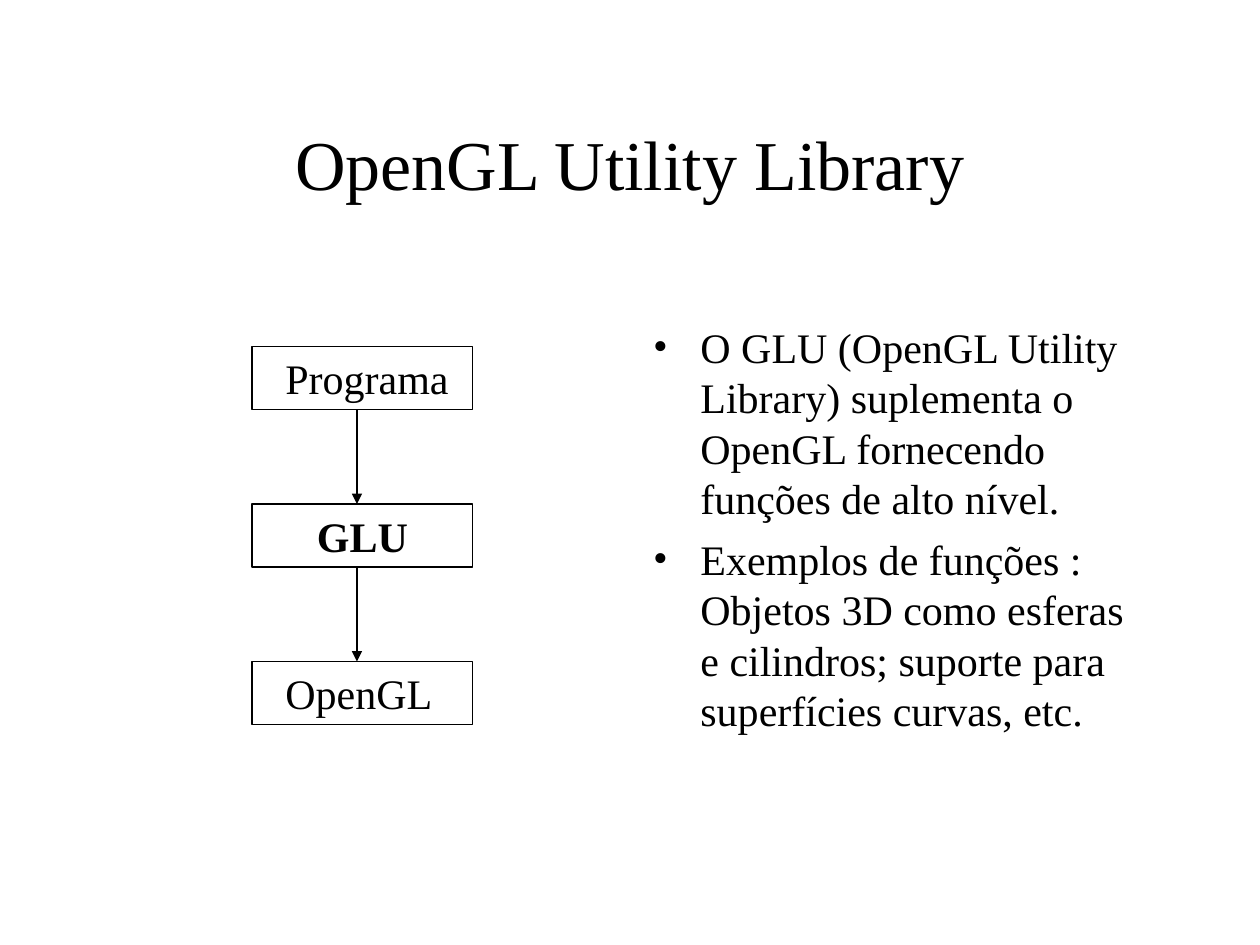
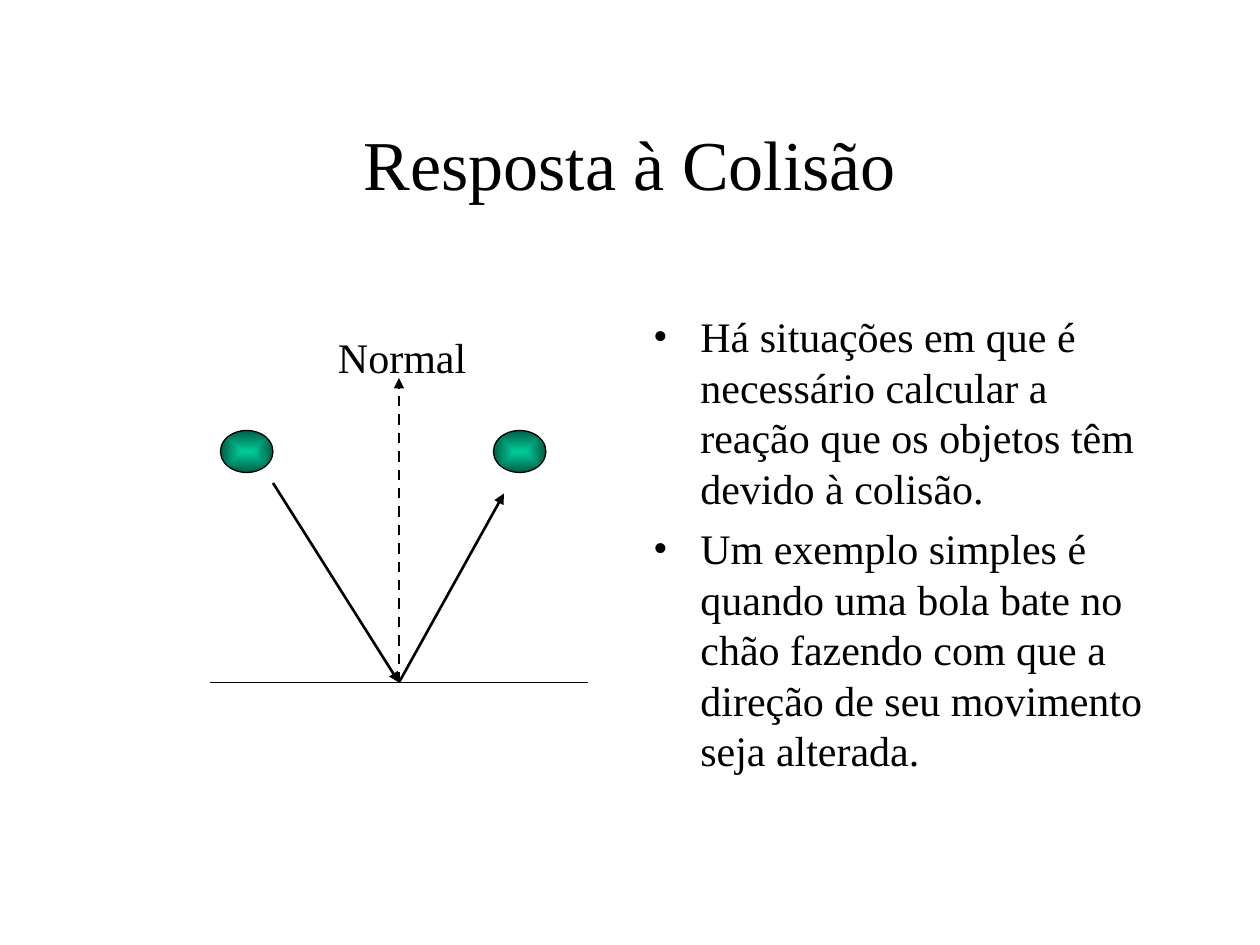
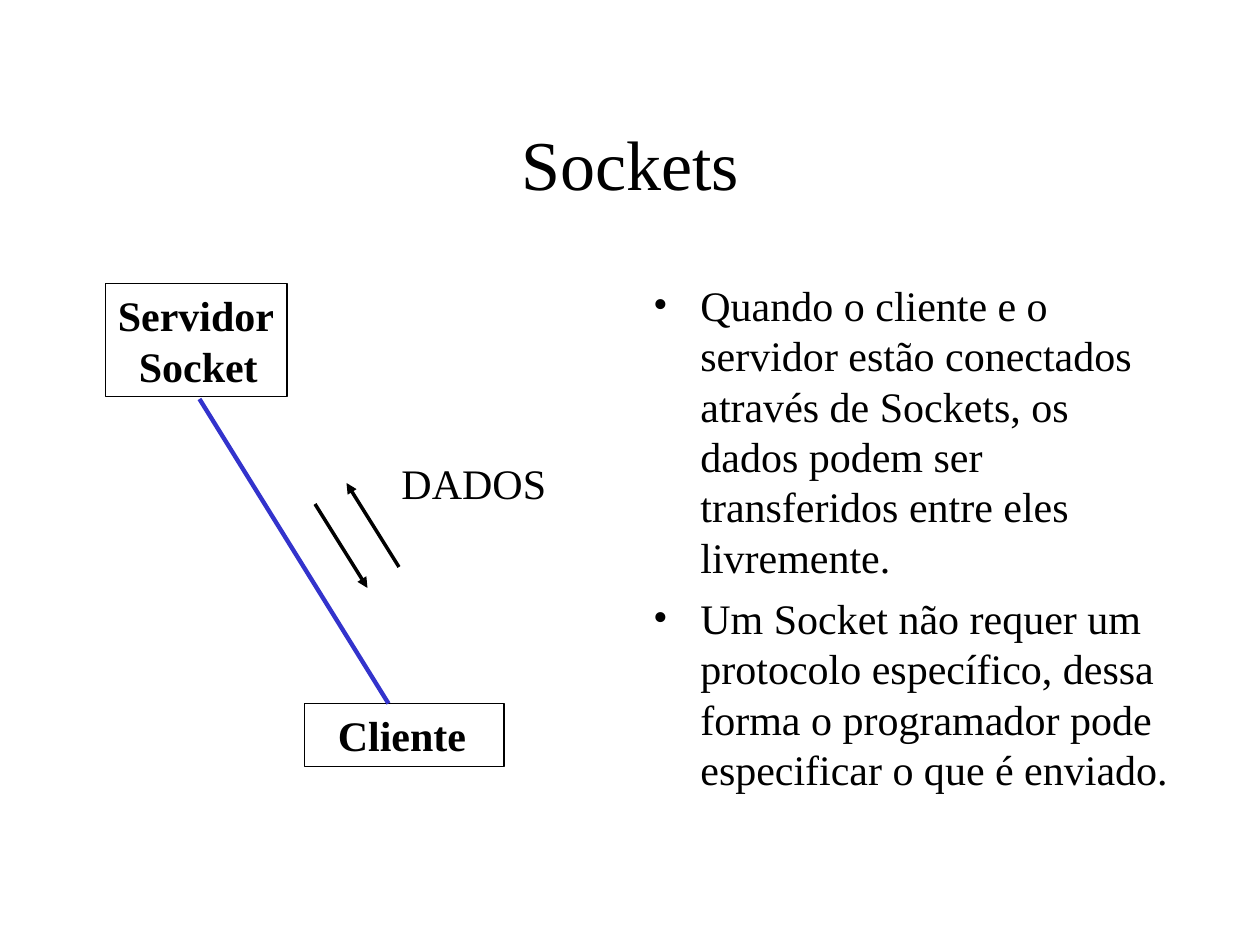
from dataclasses import dataclass

from lxml import etree
from pptx import Presentation
from pptx.dml.color import RGBColor
from pptx.enum.dml import MSO_LINE
from pptx.enum.shapes import MSO_CONNECTOR, MSO_SHAPE
from pptx.enum.text import MSO_ANCHOR, MSO_AUTO_SIZE, PP_ALIGN
from pptx.oxml import parse_xml
from pptx.oxml.ns import nsdecls, qn
from pptx.util import Pt

RECT, OVAL = MSO_SHAPE.RECTANGLE, MSO_SHAPE.OVAL
LINE, DASH = MSO_CONNECTOR.STRAIGHT, MSO_LINE.DASH
TOP, MID = MSO_ANCHOR.TOP, MSO_ANCHOR.MIDDLE
LEFT, MIDDLE = PP_ALIGN.LEFT, PP_ALIGN.CENTER
FIXED = MSO_AUTO_SIZE.NONE


@dataclass(frozen=True)
class Theme:
    font: str = "Times New Roman"
    ink: str = "000000"
    link: str = "3333CC"
    ball: str = "00CC99"
    rim: str = "005E46"
    head: int = 40
    text: int = 24
    thin: float = 0.75
    step: int = 12  # left indent of box text
    hang: int = 27  # bullet indent
    gap: int = 6  # space between list items


THEME = Theme()


# Shared formatting
def apply(item, values):
    for name, value in values.items():
        setattr(item, name, value)


def style(para, size=THEME.text, bold=False):
    apply(para.font, {"name": THEME.font, "size": Pt(size), "bold": bold})
    para.font.color.rgb = RGBColor.from_string(THEME.ink)


def place(shape, box):
    names = ("left", "top", "width", "height")
    apply(shape, dict(zip(names, map(Pt, box))))


def frame(shape, anchor=TOP, wrap=True):
    apply(shape.text_frame, {
        "vertical_anchor": anchor, "word_wrap": wrap, "auto_size": FIXED,
        "margin_left": Pt(7.2), "margin_right": Pt(7.2),
        "margin_top": Pt(3.6), "margin_bottom": Pt(3.6)})
    return shape.text_frame


def stroke(shape, color=THEME.ink, width=THEME.thin):
    shape.line.color.rgb = RGBColor.from_string(color)
    shape.line.width = Pt(width)


def indent(para, left, first=0):
    props = para._p.get_or_add_pPr()
    props.set("marL", str(Pt(left)))
    props.set("indent", str(Pt(first)))
    return props


def fill(body, lines, bold=False):
    """Write (text, left indent) lines into a text frame."""
    for i, (text, left) in enumerate(lines):
        para = body.paragraphs[0] if i == 0 else body.add_paragraph()
        apply(para, {"text": text, "alignment": LEFT})
        indent(para, left)
        style(para, bold=bold)


# Kinds of element
def page(deck, title, items, box):
    slide = deck.slides.add_slide(deck.slide_layouts[1])
    head, body = slide.placeholders
    place(head, (54, 48, 612, 90))
    para = frame(head, MID).paragraphs[0]
    apply(para, {"text": title, "alignment": MIDDLE})
    style(para, THEME.head)

    place(body, box)
    text = frame(body)
    for i, item in enumerate(items):
        para = text.add_paragraph() if i else text.paragraphs[0]
        apply(para, {"text": item, "alignment": LEFT,
                     "space_before": Pt(THEME.gap if i else 0)})
        props = indent(para, THEME.hang, -THEME.hang)
        etree.SubElement(props, qn("a:buFont")).set("typeface", THEME.font)
        etree.SubElement(props, qn("a:buChar")).set("char", "•")
        style(para)
    return slide.shapes


def box(shapes, area, lines, bold=False, wrap=True):
    shape = shapes.add_shape(RECT, *map(Pt, area))
    shape.shadow.inherit = False
    shape.fill.background()
    stroke(shape)
    fill(frame(shape, wrap=wrap), lines, bold)


def label(shapes, area, text):
    shape = shapes.add_textbox(*map(Pt, area))
    fill(frame(shape, wrap=False), [(text, 0)])


def ball(shapes, left, top):
    shape = shapes.add_shape(OVAL, *map(Pt, (left, top, 30, 24)))
    shape.shadow.inherit = False
    stroke(shape)
    grad = parse_xml(
        f'<a:gradFill {nsdecls("a")} rotWithShape="0"><a:gsLst>'
        f'<a:gs pos="0"><a:srgbClr val="{THEME.ball}"/></a:gs>'
        f'<a:gs pos="100000"><a:srgbClr val="{THEME.rim}"/></a:gs>'
        '</a:gsLst><a:path path="rect"><a:fillToRect l="50000" t="50000" '
        'r="50000" b="50000"/></a:path></a:gradFill>')
    shape._element.spPr.find(qn("a:prstGeom")).addnext(grad)


def line(shapes, start, end, width=THEME.thin, color=THEME.ink,
         arrow=True, dash=None):
    shape = shapes.add_connector(LINE, *map(Pt, (*start, *end)))
    stroke(shape, color, width)
    if dash:
        shape.line.dash_style = dash
    if arrow:
        tail = etree.SubElement(shape.line._get_or_add_ln(), qn("a:tailEnd"))
        tail.set("type", "triangle")
    etree.SubElement(shape._element.spPr, qn("a:effectLst"))


# Slides
def library(deck):
    shapes = page(deck, "OpenGL Utility Library", [
        "O GLU (OpenGL Utility Library) suplementa o OpenGL fornecendo "
        "funções de alto nível.",
        "Exemplos de funções : Objetos 3D como esferas e cilindros; suporte "
        "para superfícies curvas, etc.",
    ], (366, 180, 300, 258))
    top, high, pitch = 198, 36, 90
    layers = [("Programa", THEME.step, False), ("GLU", 30, True),
              ("OpenGL", THEME.step, False)]
    for i, (name, left, bold) in enumerate(layers):
        y = top + i * pitch
        box(shapes, (144, y, 126, high), [(name, left)], bold)
        if i:
            line(shapes, (204, y - pitch + high), (204, y))


def bounce(deck):
    shapes = page(deck, "Resposta à Colisão", [
        "Há situações em que é necessário calcular a reação que os objetos "
        "têm devido à colisão.",
        "Um exemplo simples é quando uma bola bate no chão fazendo com que "
        "a direção de seu movimento seja alterada.",
    ], (366, 174, 300, 288))
    floor, hit = 390, (228, 390)
    line(shapes, (120, floor), (336, floor), arrow=False)
    for left in (126, 282):
        ball(shapes, left, 246)
    line(shapes, (156, 276), hit, 1.5)
    line(shapes, hit, (288, 282), 1.5)
    line(shapes, hit, (228, 216), 1.5, dash=DASH)
    label(shapes, (186, 186, 87.8, 36), "Normal")


def sockets(deck):
    shapes = page(deck, "Sockets", [
        "Quando o cliente e o servidor estão conectados através de Sockets, "
        "os dados podem ser transferidos entre eles livremente.",
        "Um Socket não requer um protocolo específico, dessa forma o "
        "programador pode especificar o que é enviado.",
    ], (366, 156, 312, 324))
    box(shapes, (174, 402, 114, 36), [("Cliente", THEME.step)], True)
    box(shapes, (60.3, 162, 103.7, 64.8),
        [("Servidor", 0), ("Socket", THEME.step)], True, wrap=False)
    line(shapes, (114, 228), (222, 402), 2.5, THEME.link, arrow=False)
    line(shapes, (180, 288), (210, 336), 2)
    line(shapes, (228, 324), (198, 276), 2)
    label(shapes, (222.3, 258, 97.2, 36), "DADOS")


def main():
    deck = Presentation()
    apply(deck, {"slide_width": Pt(720), "slide_height": Pt(540)})
    for build in (library, bounce, sockets):
        build(deck)
    deck.save("out.pptx")


if __name__ == "__main__":
    main()
